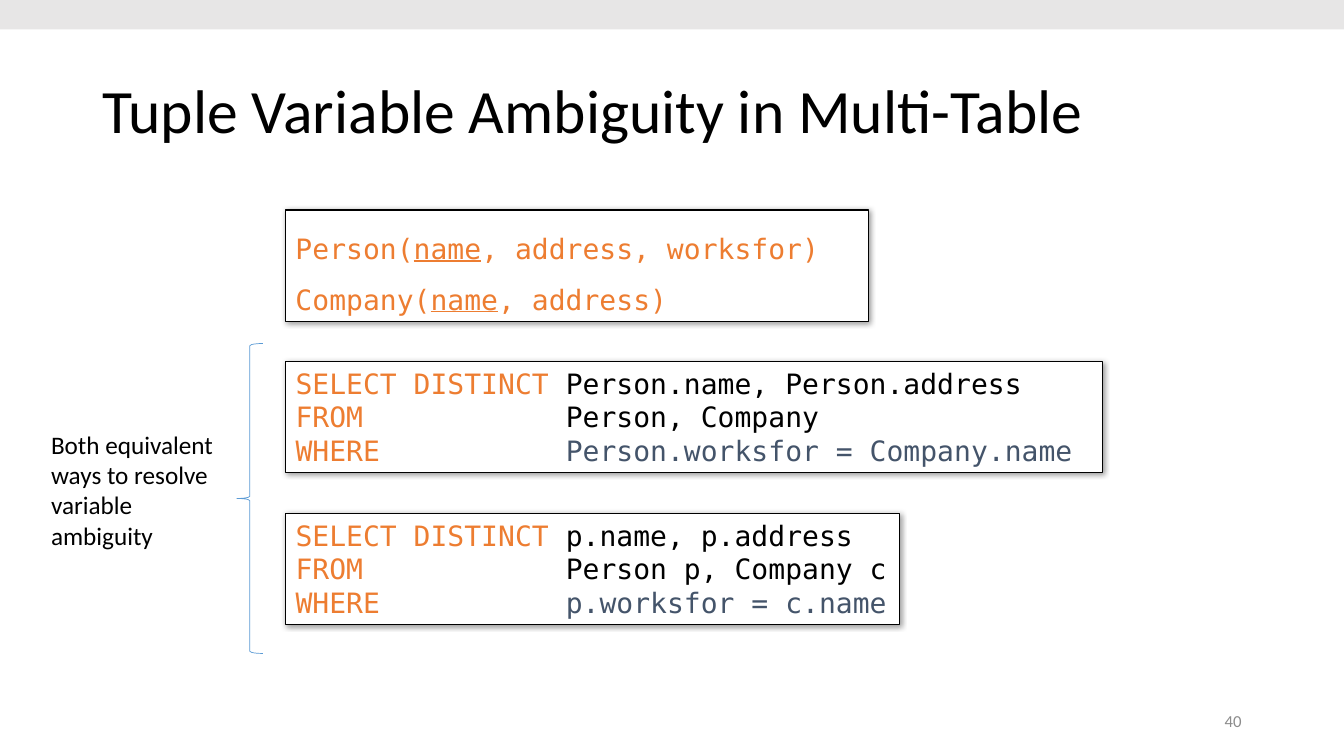
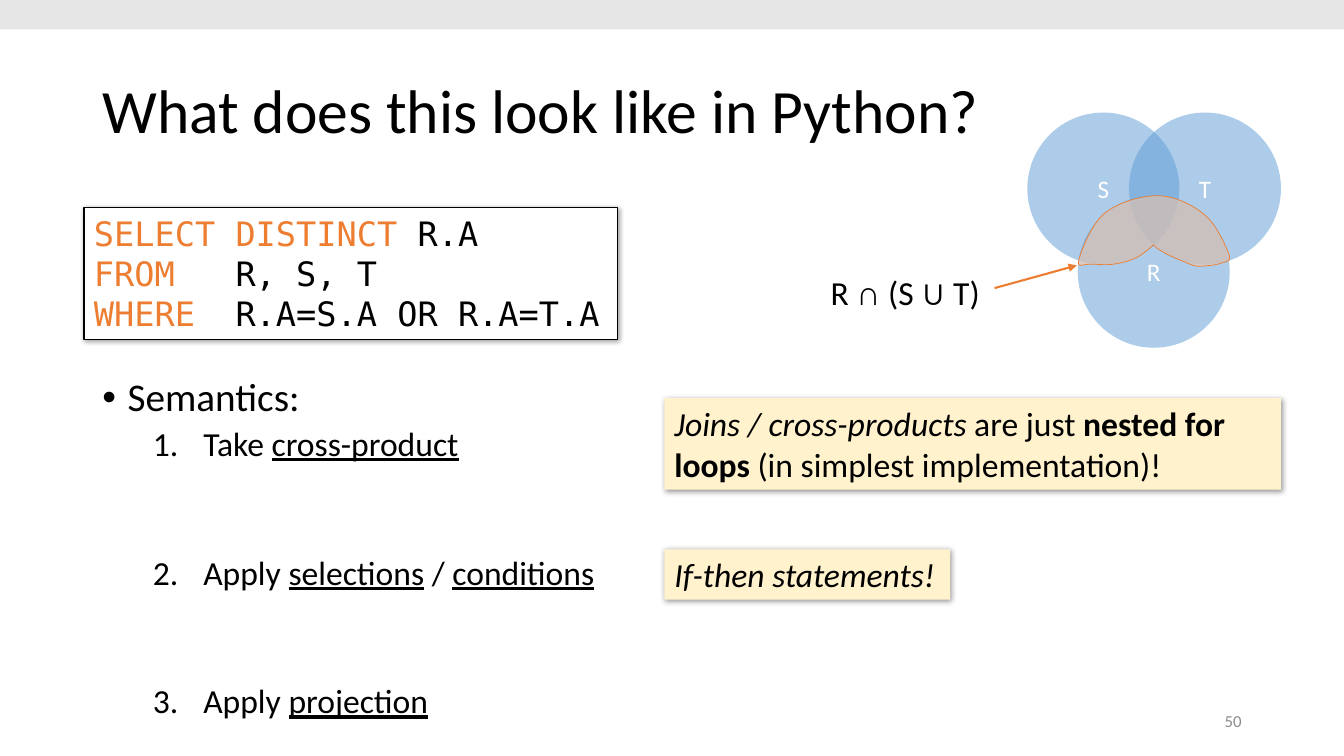
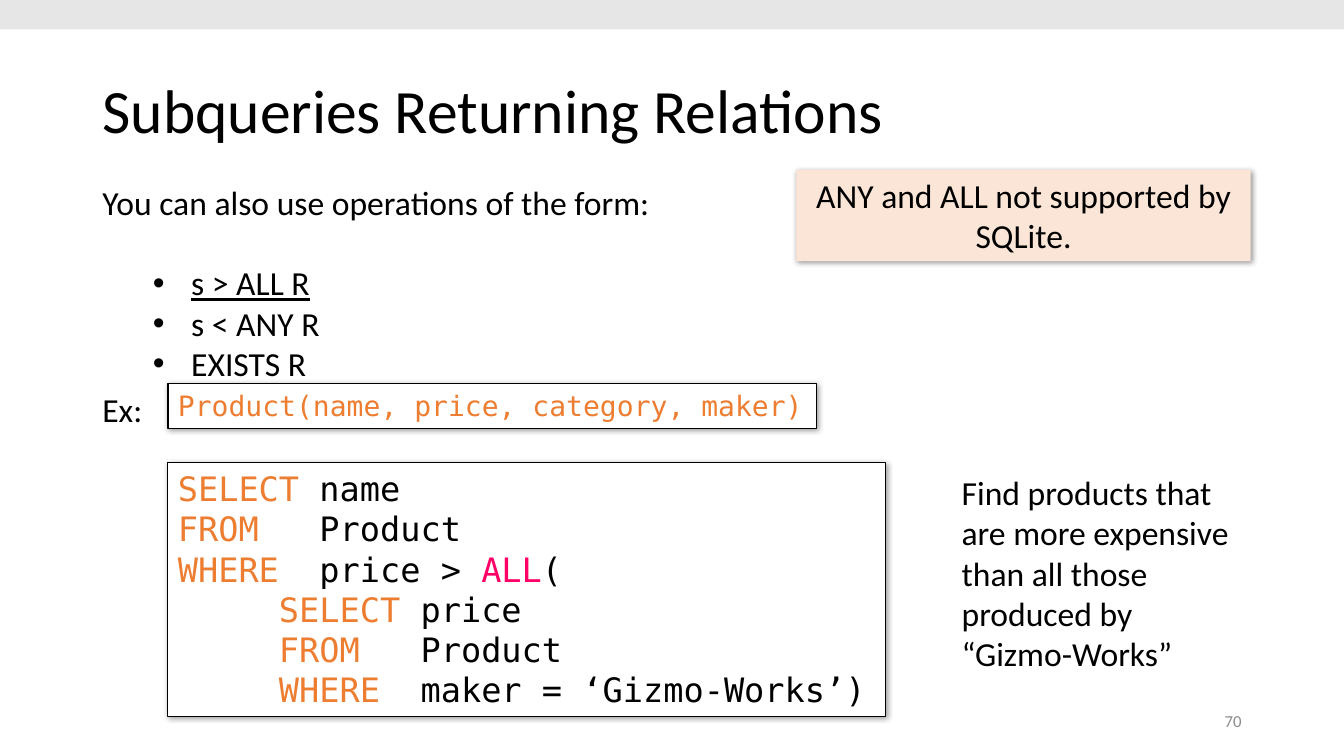
"""Build three lecture slides on SQL queries."""
from dataclasses import dataclass

from lxml.etree import SubElement
from pptx import Presentation
from pptx.dml.color import RGBColor
from pptx.enum.shapes import MSO_CONNECTOR as Link, MSO_SHAPE as Preset
from pptx.enum.text import MSO_ANCHOR as Anchor, MSO_AUTO_SIZE as Fit, PP_ALIGN as Align
from pptx.oxml.ns import qn
from pptx.util import Inches, Pt

BLACK, WHITE, GREY, BAND = "000000", "FFFFFF", "8C8C8C", "E7E6E6"
ORANGE, BLUE, SLATE, PINK = "ED7D31", "5B9BD5", "44546A", "FF0066"
CREAM, PEACH, SALMON = "FFF2CC", "FBE5D6", "F8CBAD"
SANS, MONO, SYMBOL = "Calibri", "DejaVu Sans Mono", "Arial"
COLUMNS, ROWS = 160, 90
TITLE_ONLY, TITLE_AND_BODY = 5, 1
UNDERLINE, ITALIC, BOLD = {"underline": True}, {"italic": True}, {"bold": True}


def rgb(hex_colour):
    return RGBColor.from_string(hex_colour)


def grid(*cells):
    return [Inches(cell / 12) for cell in cells]


def clause(keyword, rest, width=7, indent=0, colour=BLACK):
    return Para([" " * indent + keyword.ljust(width), (rest, {"color": colour})])


def bezier(start, curve, steps=8):
    points = [start, *curve]
    for step in range(1, steps + 1):
        t = step / steps
        weights = ((1 - t) ** 3, 3 * t * (1 - t) ** 2, 3 * t * t * (1 - t), t ** 3)
        yield tuple(sum(w * p[axis] for w, p in zip(weights, points)) for axis in (0, 1))


@dataclass
class Para:
    runs: list
    size: float = 0
    before: float = 0
    level: int = 0
    bullet: str = ""
    margin: float = 0
    hanging: float = 0


class Deck:
    """Holds the shared style and the slide being filled."""

    def __init__(self):
        self.deck = Presentation()
        self.deck.slide_width, self.deck.slide_height = grid(COLUMNS, ROWS)
        self.slide = None

    def new_slide(self, title, number, layout=TITLE_ONLY):
        self.slide = self.deck.slides.add_slide(self.deck.slide_layouts[layout])
        heading = self.slide.shapes.title
        heading.left, heading.top, heading.width, heading.height = grid(11, 4.8, 138, 17.4)
        self.typeset(heading, [Para([title])], 44, spacing=0.9, anchor=Anchor.MIDDLE)
        self.text((113, 83.4, 36, 4.8), [Para([str(number)])], 12, colour=GREY,
                  align=Align.RIGHT, anchor=Anchor.MIDDLE)
        self.shape((0, 0, COLUMNS, 3.5), fill=BAND)

    def typeset(self, holder, paras, size, font=SANS, colour=BLACK, align=Align.LEFT,
                spacing=1.0, anchor=Anchor.TOP):
        frame = holder.text_frame
        frame.word_wrap, frame.auto_size, frame.vertical_anchor = True, Fit.NONE, anchor
        for index, para in enumerate(paras):
            line = frame.add_paragraph() if index else frame.paragraphs[0]
            line.alignment, line.line_spacing, line.level = align, spacing, para.level
            line.space_before = Pt(para.before)
            self.bullet(line, para)
            line.font.size, line.font.name = Pt(para.size or size), font
            line.font.color.rgb = rgb(colour)
            for part in para.runs:
                words, style = (part, {}) if isinstance(part, str) else part
                run = line.add_run()
                run.text = words
                run.font.underline = style.get("underline")
                run.font.italic = style.get("italic")
                run.font.bold = style.get("bold")
                run.font.name = style.get("name")
                if "color" in style:
                    run.font.color.rgb = rgb(style["color"])

    def bullet(self, line, para):
        props = line._p.get_or_add_pPr()
        props.set("marL", str(Inches(para.margin)))
        props.set("indent", str(Inches(-para.hanging)))
        if para.bullet == "1.":
            SubElement(props, qn("a:buFont"), typeface="+mj-lt")
            SubElement(props, qn("a:buAutoNum"), type="arabicPeriod")
        elif para.bullet:
            SubElement(props, qn("a:buFont"), typeface=SYMBOL)
            SubElement(props, qn("a:buChar"), char=para.bullet)
        else:
            SubElement(props, qn("a:buNone"))

    def text(self, at, paras, size=24, **style):
        self.typeset(self.slide.shapes.add_textbox(*grid(*at)), paras, size, **style)

    def body(self, at, paras, size=24, **style):
        holder = self.slide.placeholders[1]
        holder.left, holder.top, holder.width, holder.height = grid(*at)
        self.typeset(holder, paras, size, **style)

    def paint(self, shape, fill=None, line=None, weight=0.75, opacity=100):
        shape.shadow.inherit = False
        if fill:
            shape.fill.solid()
            shape.fill.fore_color.rgb = rgb(fill)
            if opacity < 100:
                tint = shape.element.spPr.find(".//" + qn("a:srgbClr"))
                SubElement(tint, qn("a:alpha"), val=str(opacity * 1000))
        else:
            shape.fill.background()
        if line:
            shape.line.color.rgb = rgb(line)
            shape.line.width = Pt(weight)
        else:
            shape.line.fill.background()
        return shape

    def shape(self, at, preset=Preset.RECTANGLE, **look):
        return self.paint(self.slide.shapes.add_shape(preset, *grid(*at)), **look)

    def card(self, at, paras, size=24, fill=CREAM, line=None, **style):
        card = self.shape(at, fill=fill, line=line)
        effects = card.element.spPr.find(qn("a:effectLst"))
        shadow = SubElement(effects, qn("a:outerShdw"), blurRad=str(Pt(4)), dist=str(Pt(1)),
                            dir="2700000", algn="tl", rotWithShape="0")
        tint = SubElement(shadow, qn("a:srgbClr"), val=BLACK)
        SubElement(tint, qn("a:alpha"), val="40000")
        self.typeset(card, paras, size, **style)

    def code(self, at, paras, size=24, **style):
        self.card(at, paras, size, fill=WHITE, line=BLACK, font=MONO, colour=ORANGE, **style)

    def circle(self, left, top, label, diameter=18.1):
        disc = self.shape((left, top, diameter, diameter), Preset.OVAL, fill=BLUE, opacity=50)
        self.typeset(disc, [Para([label])], 18, colour=WHITE, align=Align.CENTER,
                     anchor=Anchor.MIDDLE)

    def arrow(self, start, end):
        arrow = self.slide.shapes.add_connector(Link.STRAIGHT, *grid(*start, *end))
        arrow.line.color.rgb, arrow.line.width = rgb(ORANGE), Pt(1.5)
        SubElement(arrow.element.spPr.find(qn("a:ln")), qn("a:tailEnd"), type="triangle")
        SubElement(arrow.element.spPr, qn("a:effectLst"))

    def region(self, origin, start, curves, **look):
        outline = [start]
        for curve in curves:
            outline.extend(bezier(outline[-1], curve))
        points = [(Inches(x / 100), Inches(y / 100)) for x, y in outline]
        builder = self.slide.shapes.build_freeform(*points[0])
        builder.add_line_segments(points[1:], close=True)
        self.paint(builder.convert_to_shape(*grid(*origin)), **look)


def ambiguity(deck):
    deck.new_slide("Tuple Variable Ambiguity in Multi-Table", 40)
    key = ("name", UNDERLINE)
    deck.code((34, 25, 69.4, 13.3), [Para(["Person(", key, ", address, worksfor)"]),
                                     Para(["Company(", key, ", address)"])], 20, spacing=1.5)
    queries = [
        (43, 97.3, "Person.name, Person.address", "Person, Company",
         "Person.worksfor = Company.name"),
        (61.1, 73.1, "p.name, p.address", "Person p, Company c", "p.worksfor = c.name"),
    ]
    for top, width, fields, tables, condition in queries:
        deck.code((34, top, width, 13.3), [
            clause("SELECT DISTINCT", fields, 16),
            clause("FROM", tables, 16),
            clause("WHERE", condition, 16, colour=SLATE)], 20)
    deck.shape((28.2, 40.9, 3.1, 36.9), Preset.LEFT_BRACE, line=BLUE, weight=0.5)
    deck.text((4.9, 50.5, 23.3, 15.7),
              [Para(["Both equivalent ways to resolve variable ambiguity"])], 18)


def python_view(deck):
    deck.new_slide("What does this look like in Python?", 50, TITLE_AND_BODY)
    deck.code((10, 24.7, 63.5, 15.7), [
        clause("SELECT DISTINCT ", "R.A"),
        clause("FROM", "R, S, T"),
        clause("WHERE", "R.A=S.A OR R.A=T.A")])
    steps = [
        (5, ["Take ", ("cross-product", UNDERLINE)]),
        (66, ["Apply ", ("selections", UNDERLINE), " / ", ("conditions", UNDERLINE)]),
        (66, ["Apply ", ("projection", UNDERLINE)]),
    ]
    deck.body((11, 44.4, 70.9, 41.9), [
        Para(["Semantics:"], 28, bullet="•", margin=0.25, hanging=0.25),
        *(Para(runs, before=gap, level=1, bullet="1.", margin=1, hanging=0.5)
          for gap, runs in steps)], spacing=0.9)
    deck.card((79.1, 47.4, 73.4, 10.9), [Para([
        ("Joins / cross-products ", ITALIC), "are just ", ("nested for loops ", BOLD),
        "(in simplest implementation)!"])])
    deck.card((79.1, 65.4, 34, 6), [Para([("If-then statements!", ITALIC)])])
    symbol = {"name": SYMBOL}
    deck.text((97.7, 31.8, 20.6, 6),
              [Para(["R ", ("∩", symbol), " (S ", ("∪", symbol), " T)"])])
    for left, top, label in ((122.3, 13.4, "S"), (134.4, 13.4, "T"), (128.3, 23.3, "R")):
        deck.circle(left, top, label)
    deck.arrow((118.4, 34.3), (128.2, 31.6))
    deck.region((128.3, 23.3), (1, 64), [
        ((3, 56), (13, 29), (26, 18)),
        ((39, 7), (62, 0), (79, 0)),
        ((96, 0), (114, 9), (126, 19)),
        ((138, 29), (147, 50), (150, 58)),
        ((153, 66), (147, 65), (142, 67)),
        ((137, 69), (126, 70), (119, 70)),
        ((113, 69), (109, 67), (102, 64)),
        ((96, 62), (84, 56), (80, 53)),
        ((75, 50), (77, 49), (75, 49)),
        ((74, 49), (76, 48), (73, 51)),
        ((70, 53), (64, 59), (57, 62)),
        ((51, 65), (43, 67), (35, 68)),
        ((28, 69), (19, 68), (13, 68)),
        ((7, 67), (-1, 73), (1, 64)),
    ], fill=SALMON, opacity=60, line=ORANGE, weight=0.5)


def subqueries(deck):
    deck.new_slide("Subqueries Returning Relations", 70, TITLE_AND_BODY)
    forms = [(29, ("s > ALL R", UNDERLINE)), (0, "s < ANY R"), (0, "EXISTS R")]
    deck.body((11, 21, 68.6, 24), [
        Para(["You can also use operations of the form:"]),
        *(Para([form], before=gap, level=1, bullet="•", margin=0.88, hanging=0.38)
          for gap, form in forms)])
    deck.code((20, 55.1, 85.4, 30.2), [
        clause("SELECT", "name"),
        clause("FROM", "Product"),
        Para(["WHERE  ", ("price > ", {"color": BLACK}), ("ALL", {"color": PINK}),
              ("(", {"color": BLACK})]),
        clause("SELECT", "price", indent=5),
        clause("FROM", "Product", indent=5),
        clause("WHERE", "maker = ‘Gizmo-Works’)", indent=5)])
    deck.code((20, 45.7, 77.2, 5.3), [Para(["Product(name, price, category, maker)"])], 20)
    deck.text((113.3, 55.6, 35.4, 25.4), [Para([
        "Find products that are more expensive than all those produced by “Gizmo-Works”"])])
    deck.text((11, 45.7, 9, 6), [Para(["Ex:"])])
    deck.card((94.8, 20.2, 54.1, 10.9), [Para(["ANY and ALL not supported by SQLite."])],
              fill=PEACH, align=Align.CENTER)


def main():
    deck = Deck()
    for build in (ambiguity, python_view, subqueries):
        build(deck)
    deck.deck.save("out.pptx")


if __name__ == "__main__":
    main()
